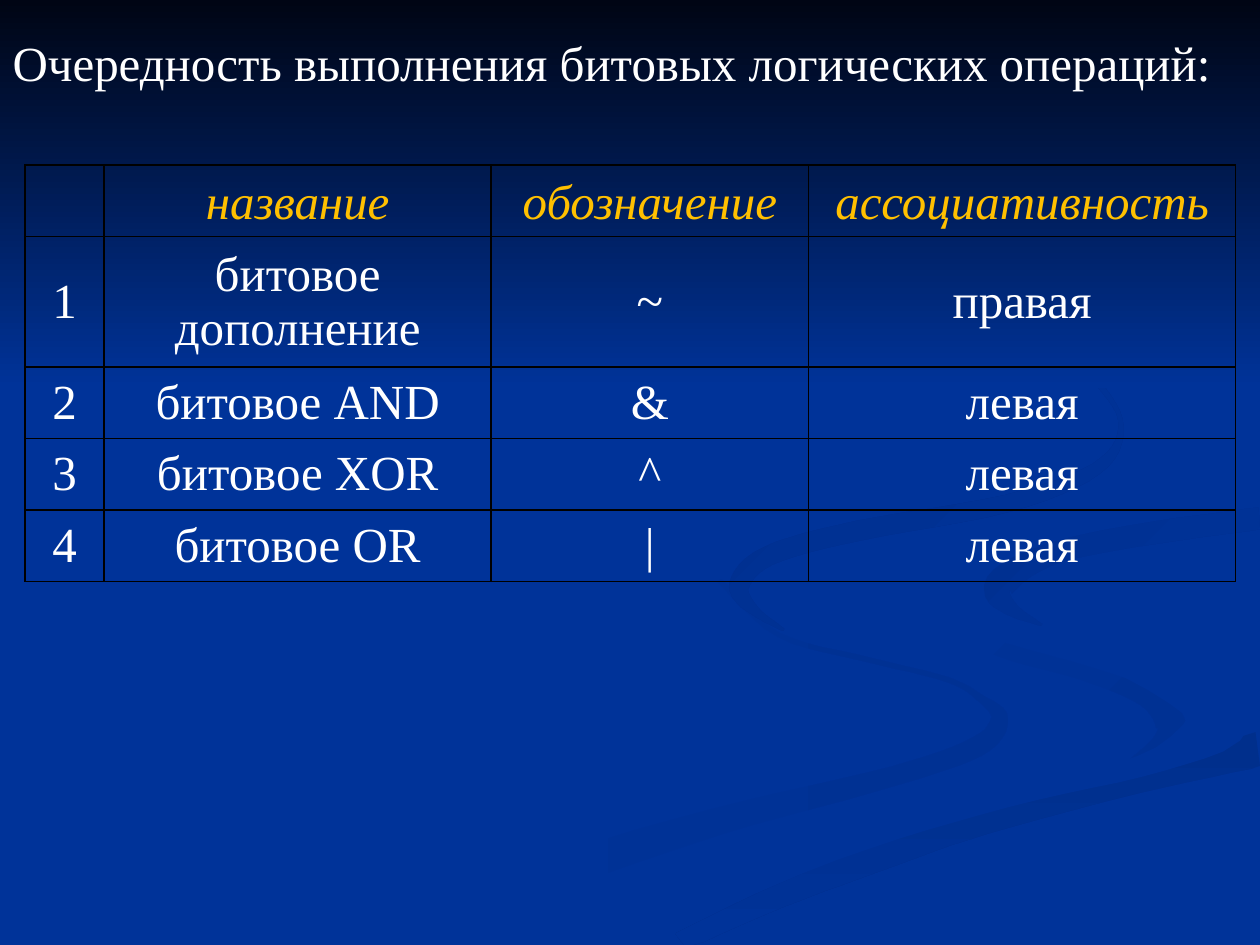
from math import hypot

from pptx import Presentation
from pptx.dml.color import RGBColor
from pptx.enum.shapes import MSO_SHAPE
from pptx.enum.text import MSO_ANCHOR, MSO_AUTO_SIZE, PP_ALIGN
from pptx.oxml.ns import qn
from pptx.util import Cm, Pt
from lxml.etree import SubElement

FONT = "Times New Roman"
BLUE = "003399"
WHITE = "FFFFFF"
GOLD = "FFC000"
BLACK = "000000"
WIDE, HIGH = 25.4, 19.05
STEPS = 6

TAIL = [(14.5, 11.7, 0.1), (15.7, 12.8, 0.1), (17.5, 13.3, 0.1),
        (19.1, 13.7, 0.1), (19.8, 14.1, 0.15), (20.15, 14.5, 0.35),
        (19.7, 15.05, 0.4), (18, 15.65, 0.4), (14.5, 16.55, 0.55),
        (11.3, 17.6, 0.7), (8.4, 19, 0.7)]
HOOK = [(18.4, 11.8, 0.05), (18.8, 12.5, 0.1), (20.2, 13.1, 0.3),
        (21.8, 13.55, 0.3), (23.1, 14.05, 0.4), (23.6, 14.6, 0.6),
        (23.4, 15, 0.4), (22.7, 15.4, 0.05)]
ROAD = [(25.4, 15.1, 0.7), (22.9, 15.75, 0.5), (19.9, 16.55, 0.5),
        (17.65, 17.3, 0.55), (15.4, 18.2, 0.45), (13.7, 19, 0.4)]
STREAM = [(25.4, 10, 0.4), (22.1, 10.55, 0.4), (19.8, 11.05, 0.6),
          (19.1, 11.7, 1.3), (20.1, 12.6, 0.6), (22.4, 13.25, 0.5),
          (24.6, 14.2, 1.4), (23.4, 15.3, 0.5), (20.3, 16.1, 0.35),
          (16.8, 17.1, 0.5), (12.7, 18.9, 0.4)]
RIM = [(25.4, 10.45, 0.45), (22.9, 10.8, 0.45), (21.1, 11.2, 0.45),
       (20.15, 11.8, 0.6), (20.35, 12.25, 0.3), (21, 12.6, 0.05)]
CURL = [(19.4, 5.9, 0.05), (20.8, 6.7, 0.1), (22.1, 7.7, 0.1),
        (22.6, 8.6, 0.1), (22.1, 9.45, 0.25), (20.3, 10.15, 0.35),
        (17.3, 10.7, 0.4), (15.5, 11.2, 0.4), (14.9, 11.8, 0.4),
        (15.2, 12.3, 0.2), (15.8, 12.7, 0.05)]
WAVES = [
    (TAIL, BLUE, "003193", 0),
    (HOOK, BLUE, "003193", 45),
    (ROAD, "002F8C", BLUE, 90),
    (STREAM, BLUE, BLUE, 0),
    (RIM, "003091", BLUE, 45),
    (CURL, "002F8E", BLUE, 45),
]

TITLE = "Очередность выполнения битовых логических операций:"
ROWS = [
    ["", "название", "обозначение", "ассоциативность"],
    ["1", "битовое дополнение", "~", "правая"],
    ["2", "битовое AND", "&", "левая"],
    ["3", "битовое XOR", "^", "левая"],
    ["4", "битовое OR", "|", "левая"],
]
WIDTHS = [1.6, 7.8, 6.4, 8.61]
LOW, TALL = 1.43, 2.62
HEIGHTS = [LOW, TALL, LOW, LOW, LOW]


def tint(code):
    return RGBColor.from_string(code)


def blend(a, b, c, d, t):
    return b + t * (c - a + t * (2 * a - 5 * b + 4 * c - d
                                 + t * (3 * (b - c) + d - a))) / 2


def smooth(knots):
    ends = [knots[0], *knots, knots[-1]]
    curve = []
    for quad in zip(ends, ends[1:], ends[2:], ends[3:]):
        for step in range(STEPS):
            curve.append([blend(*axis, step / STEPS) for axis in zip(*quad)])
    return curve + [knots[-1]]


def clamp(x, y):
    return min(x, WIDE), min(y, HIGH)


def outline(knots):
    curve = smooth(knots)
    left, right = [], []
    for i, (x, y, width) in enumerate(curve):
        back, front = curve[max(i - 1, 0)], curve[min(i + 1, len(curve) - 1)]
        run, rise = front[0] - back[0], front[1] - back[1]
        half = width / 2 / hypot(run, rise)
        left.append(clamp(x - rise * half, y + run * half))
        right.append(clamp(x + rise * half, y - run * half))
    return left + right[::-1]


def paint(shape, first, last, angle):
    shape.shadow.inherit = False
    shape.line.fill.background()
    if first == last:
        shape.fill.solid()
        shape.fill.fore_color.rgb = tint(first)
        return
    shape.fill.gradient()
    shape.fill.gradient_angle = -angle % 360
    for stop, code in zip(shape.fill.gradient_stops, (first, last)):
        stop.color.rgb = tint(code)


def add_wave(slide, knots, first, last, angle):
    points = [(x * 100, y * 100) for x, y in outline(knots)]
    pen = slide.shapes.build_freeform(*points[0], scale=Cm(1) / 100)
    pen.add_line_segments(points[1:], close=True)
    paint(pen.convert_to_shape(), first, last, angle)


def add_sky(slide):
    sky = slide.shapes.add_shape(
        MSO_SHAPE.RECTANGLE, Cm(0), Cm(0), Cm(WIDE), Cm(7.82))
    paint(sky, "000514", BLUE, 90)


def style(par, color, align, slant=False):
    par.alignment = align
    for run in par.runs:
        font = run.font
        font.name = FONT
        font.size = Pt(28)
        font.bold = False
        font.italic = slant
        font.color.rgb = tint(color)


def set_title(slide):
    title = slide.shapes.title
    slide.shapes.element.append(title.element)
    title.left, title.top = Cm(0), Cm(0.53)
    title.width, title.height = Cm(WIDE), Cm(1.45)
    frame = title.text_frame
    frame.text = TITLE
    frame.word_wrap = True
    frame.auto_size = MSO_AUTO_SIZE.SHAPE_TO_FIT_TEXT
    frame.vertical_anchor = MSO_ANCHOR.TOP
    style(frame.paragraphs[0], WHITE, PP_ALIGN.LEFT)


def add_edge(cell):
    props = cell._tc.get_or_add_tcPr()
    for side in "LRTB":
        line = SubElement(props, qn("a:ln" + side), w=str(Pt(1)))
        fill = SubElement(line, qn("a:solidFill"))
        SubElement(fill, qn("a:srgbClr"), val=BLACK)


def fill_cell(cell, word, head):
    add_edge(cell)
    cell.fill.background()
    cell.vertical_anchor = MSO_ANCHOR.BOTTOM if head else MSO_ANCHOR.MIDDLE
    cell.text_frame.text = word
    color = GOLD if head else WHITE
    style(cell.text_frame.paragraphs[0], color, PP_ALIGN.CENTER, head)


def add_grid(slide):
    grid = slide.shapes.add_table(
        len(ROWS), len(WIDTHS), Cm(0.5), Cm(3.33),
        Cm(sum(WIDTHS)), Cm(sum(HEIGHTS))).table
    grid.first_row = grid.horz_banding = False
    for col, width in zip(grid.columns, WIDTHS):
        col.width = Cm(width)
    for i, (row, height) in enumerate(zip(grid.rows, HEIGHTS)):
        row.height = Cm(height)
        for cell, word in zip(row.cells, ROWS[i]):
            fill_cell(cell, word, i == 0)


def main():
    deck = Presentation()
    deck.slide_width, deck.slide_height = Cm(WIDE), Cm(HIGH)
    slide = deck.slides.add_slide(deck.slide_layouts[5])
    slide.background.fill.solid()
    slide.background.fill.fore_color.rgb = tint(BLUE)
    for wave in WAVES:
        add_wave(slide, *wave)
    add_sky(slide)
    set_title(slide)
    add_grid(slide)
    deck.save("out.pptx")


if __name__ == "__main__":
    main()
